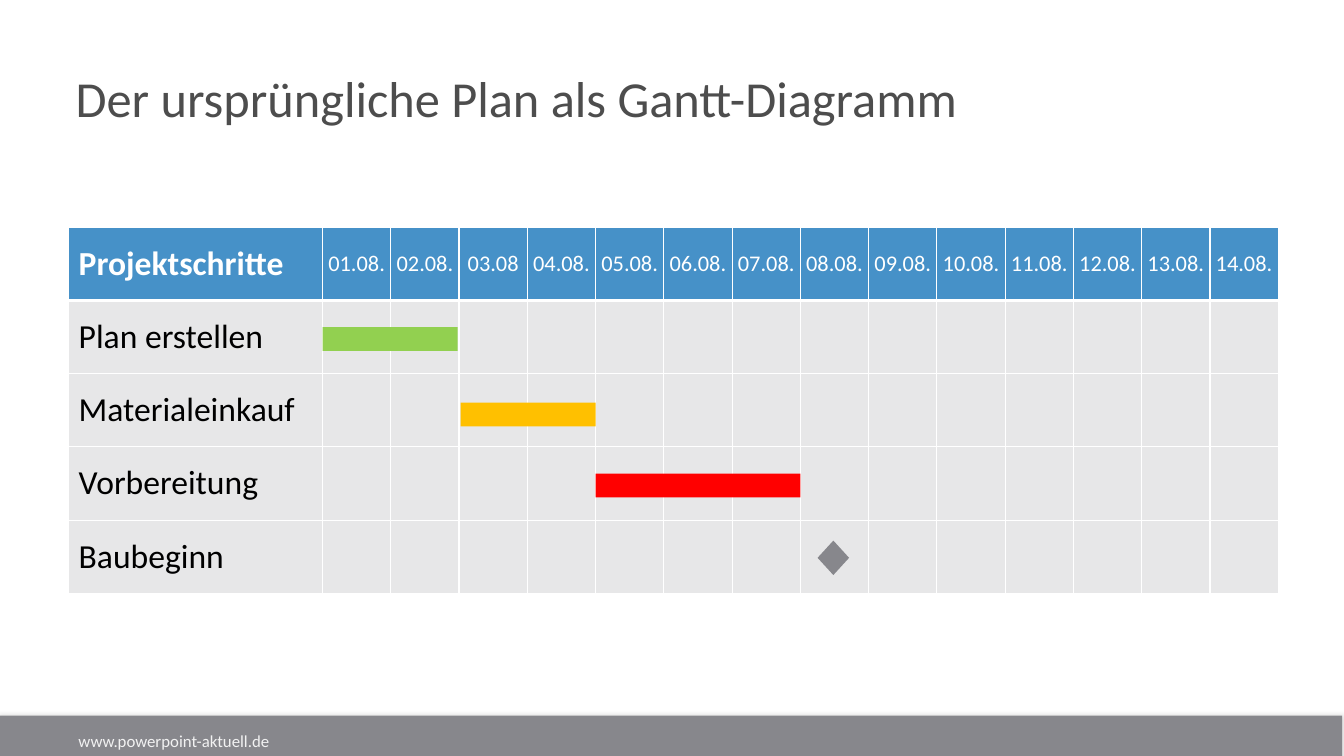
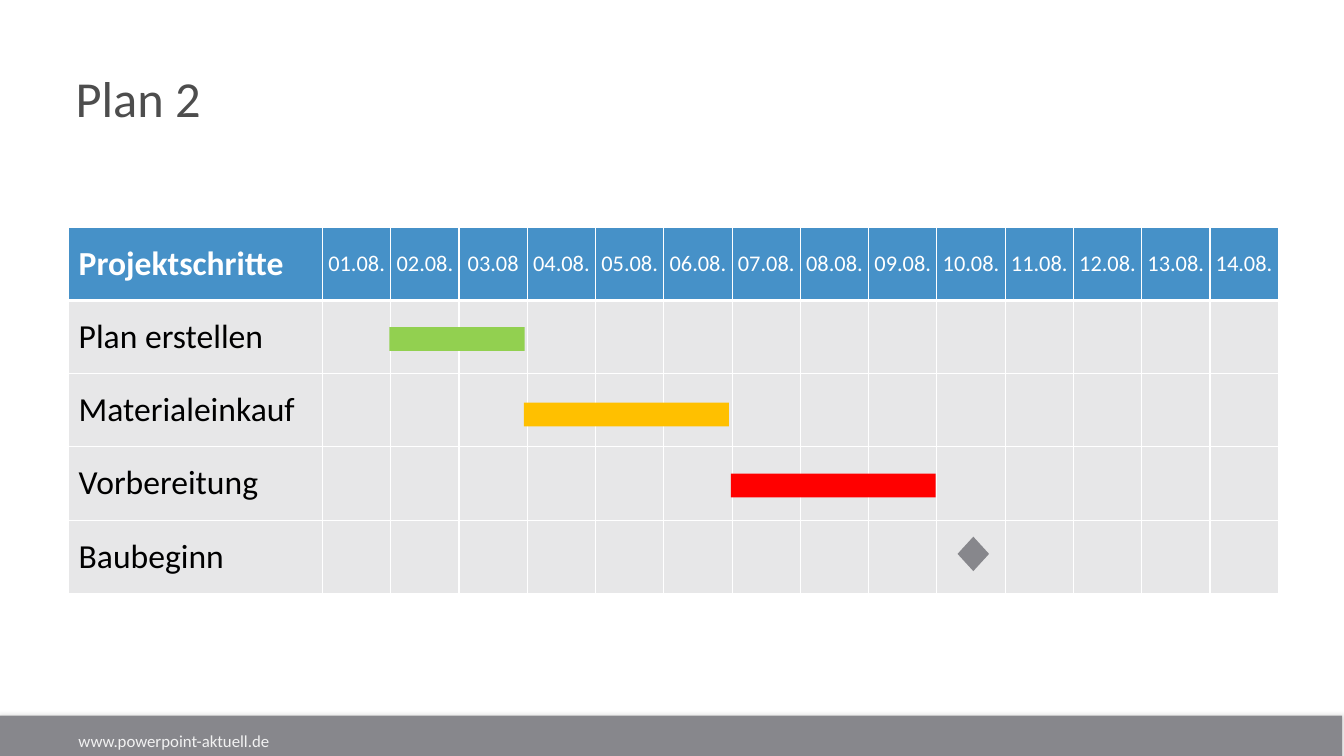
from lxml import etree
from pptx import Presentation
from pptx.dml.color import RGBColor
from pptx.enum import shapes, text
from pptx.oxml import parse_xml
from pptx.oxml.ns import nsdecls, qn
from pptx.util import Pt

FONT = "Calibri"
COLORS = {
    "title": "4D4D4D", "band": "87878C", "address": "F2F2F2",
    "header": "4691C8", "body": "E7E7E8", "white": "FFFFFF", "black": "000000",
    "planning": "92D050", "purchase": "FFC000", "preparation": "FF0000",
}
SLIDE_W, SLIDE_H = 960, 540
TITLE_BOX = (48.2, 15.1, 861.8, 79.2)
BAND_BOX = (-1.4, 511.2, 960, 33)
ADDRESS_BOX = (49, 514.8, 619.2, 28.8)
GANTT_BOX = (49, 162.3, 864.3, 261.5)
LABEL_W = 181.4
BAR_H = 17
MILESTONE_W, MILESTONE_H = 22.5, 24.6

STEPS = ["Plan erstellen", "Materialeinkauf", "Vorbereitung", "Baubeginn"]
DAYS = ["01.08.", "02.08.", "03.08"] + [f"{day:02}.08." for day in range(4, 15)]
BAR_COLORS = ["planning", "purchase", "preparation"]
BAR_DROPS = [1.5, 3, 1.5]  # distance below the middle of the row

# Bars are (start, length) in days; the milestone is (day, drop in points).
PLANS = [
    {"title": "Der ursprüngliche Plan als Gantt-Diagramm",
     "bars": [(0, 1.98), (2.02, 1.98), (4, 3)], "milestone": (7.48, 0.8)},
    {"title": "Plan 2",
     "bars": [(0.98, 1.98), (2.95, 3), (5.98, 3)], "milestone": (9.53, -2)},
]


def rgb(name):
    return RGBColor.from_string(COLORS[name])


def points(box):
    return [Pt(length) for length in box]


def write(frame, words, size, color, bold=False, align=text.PP_ALIGN.LEFT):
    paragraph = frame.paragraphs[0]
    paragraph.alignment = align
    run = paragraph.add_run()
    run.text = words
    font = run.font
    font.name, font.size, font.bold = FONT, Pt(size), bold
    font.color.rgb = rgb(color)


def add_block(slide, preset, box, color):
    block = slide.shapes.add_shape(preset, *points(box))
    block.shadow.inherit = False
    block.fill.solid()
    block.fill.fore_color.rgb = rgb(color)
    block.line.fill.background()
    return block


def add_title(slide, words, box):
    title = slide.shapes.title
    title.left, title.top, title.width, title.height = points(box)
    frame = title.text_frame
    frame.vertical_anchor = text.MSO_ANCHOR.BOTTOM
    frame.margin_left = frame.margin_right = Pt(5.8)
    frame.margin_top = frame.margin_bottom = Pt(2.9)
    write(frame, words, 36, "title")


def move_band_to_layout(slide, box):
    """Build the footer band with its soft shadow and let the layout hold it."""
    band = add_block(slide, shapes.MSO_SHAPE.RECTANGLE, box, "band")
    effects = band.element.spPr.find(qn("a:effectLst"))
    effects.append(parse_xml(
        f'<a:outerShdw {nsdecls("a")} blurRad="{Pt(4.2)}" dist="0" dir="5400000">'
        f'<a:srgbClr val="{COLORS["black"]}"><a:alpha val="15000"/></a:srgbClr>'
        '</a:outerShdw>'))
    slide.slide_layout.shapes.element.append(band.element)


def add_address(slide, box):
    frame = slide.shapes.add_textbox(*points(box)).text_frame
    frame.word_wrap = True
    frame.vertical_anchor = text.MSO_ANCHOR.MIDDLE
    write(frame, "www.powerpoint-aktuell.de", 12, "address")


def set_borders(cell, top, bottom):
    properties = cell._tc.get_or_add_tcPr()
    for side, width in (("L", 1), ("R", 1), ("T", top), ("B", bottom)):
        line = etree.SubElement(properties, qn(f"a:ln{side}"), w=str(Pt(width)))
        fill = etree.SubElement(line, qn("a:solidFill"))
        etree.SubElement(fill, qn("a:srgbClr"), val=COLORS["white"])


def add_schedule(slide, box):
    """Add the table of steps and days."""
    row_count, column_count = len(STEPS) + 1, len(DAYS) + 1
    schedule = slide.shapes.add_table(row_count, column_count, *points(box)).table
    schedule.first_row = schedule.horz_banding = False
    for row in schedule.rows:
        row.height = Pt(box[3] / row_count)
    for index, column in enumerate(schedule.columns):
        column.width = Pt((box[2] - LABEL_W) / len(DAYS) if index else LABEL_W)

    for r in range(row_count):
        for c in range(column_count):
            cell = schedule.cell(r, c)
            set_borders(cell, 3 if r == 1 else 1, 1 if r else 3)
            cell.fill.solid()
            cell.fill.fore_color.rgb = rgb("body" if r else "header")
            cell.vertical_anchor = text.MSO_ANCHOR.MIDDLE
            if c == 0:
                write(cell.text_frame, STEPS[r - 1] if r else "Projektschritte",
                      24, "black" if r else "white", bold=r == 0)
            elif r == 0:
                cell.margin_left = cell.margin_right = Pt(3)
                write(cell.text_frame, DAYS[c - 1], 16, "white",
                      align=text.PP_ALIGN.CENTER)


def add_gantt(slide, box, bars, milestone):
    add_schedule(slide, box)
    left, top, width, height = box
    day_w = (width - LABEL_W) / len(DAYS)
    row_h = height / (len(STEPS) + 1)

    def day_x(day):
        return left + LABEL_W + day * day_w

    def step_middle(step):
        return top + (step + 1.5) * row_h

    for step, (start, length) in enumerate(bars):
        bar_top = step_middle(step) + BAR_DROPS[step] - BAR_H / 2
        add_block(slide, shapes.MSO_SHAPE.RECTANGLE,
                  (day_x(start), bar_top, length * day_w, BAR_H), BAR_COLORS[step])
    day, drop = milestone
    add_block(slide, shapes.MSO_SHAPE.DIAMOND,
              (day_x(day) - MILESTONE_W / 2,
               step_middle(len(bars)) + drop - MILESTONE_H / 2,
               MILESTONE_W, MILESTONE_H), "band")


def add_plan_slide(deck, plan):
    slide = deck.slides.add_slide(deck.slide_layouts[5])
    add_title(slide, plan["title"], TITLE_BOX)
    add_address(slide, ADDRESS_BOX)
    add_gantt(slide, GANTT_BOX, plan["bars"], plan["milestone"])
    return slide


def main():
    deck = Presentation()
    deck.slide_width, deck.slide_height = Pt(SLIDE_W), Pt(SLIDE_H)
    plan_slides = [add_plan_slide(deck, plan) for plan in PLANS]
    move_band_to_layout(plan_slides[0], BAND_BOX)
    deck.save("out.pptx")


if __name__ == "__main__":
    main()
